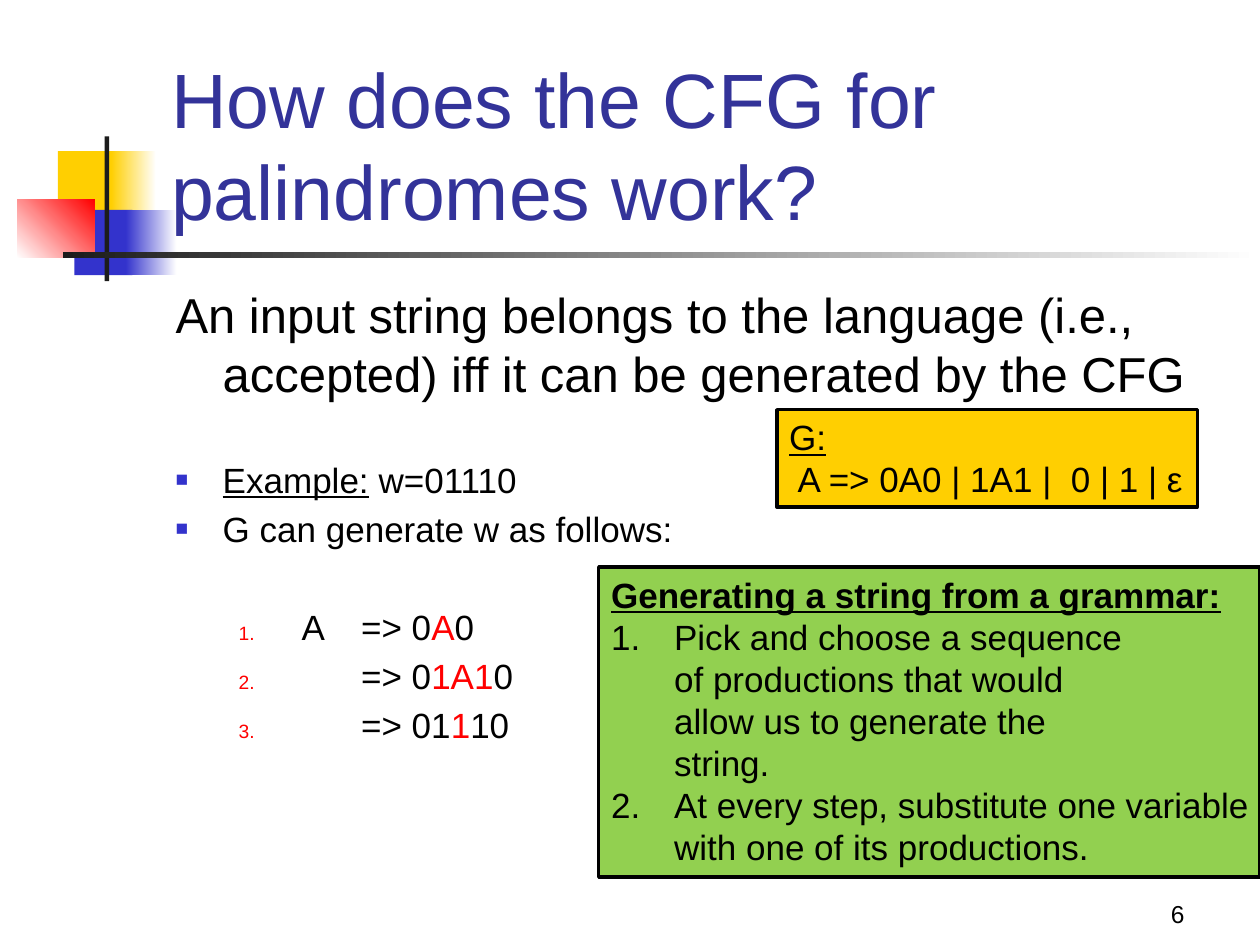
from pptx import Presentation
from pptx.dml.color import RGBColor
from pptx.enum.shapes import MSO_SHAPE
from pptx.enum.text import MSO_ANCHOR as Anchor, MSO_AUTO_SIZE as AutoSize, PP_ALIGN as Align
from pptx.oxml.ns import qn
from pptx.util import Cm, Pt
from lxml.etree import SubElement

COLORS = {
    "yellow": "FFCF01", "blue": "3333CC", "red": "FF0000", "dark": "1C1C1C",
    "white": "FFFFFF", "black": "000000", "title": "333399", "green": "92D050",
}
RGB = {name: RGBColor.from_string(value) for name, value in COLORS.items()}

presentation = Presentation()
presentation.slide_width, presentation.slide_height = Cm(25.4), Cm(19.05)
slide = presentation.slides.add_slide(presentation.slide_layouts[6])


def add_box(left, top, width, height, fills=(), angle=0):
    """Rectangle with a plain or two-colour fill; a text box without fills."""
    place = [Cm(value) for value in (left, top, width, height)]
    if not fills:
        return slide.shapes.add_textbox(*place)
    shape = slide.shapes.add_shape(MSO_SHAPE.RECTANGLE, *place)
    shape.shadow.inherit = False
    shape.line.fill.background()
    if len(fills) == 1:
        shape.fill.solid()
        shape.fill.fore_color.rgb = RGB[fills[0]]
    else:
        shape.fill.gradient()
        shape.fill.gradient_angle = angle
        for stop, name in zip(shape.fill.gradient_stops, fills):
            stop.color.rgb = RGB[name]
    return shape


def write(shape, paragraphs, size, color="black", anchor=Anchor.TOP, wrap=True):
    """Each paragraph is (runs, format); each run is (text, font values)."""
    frame = shape.text_frame
    frame.word_wrap, frame.vertical_anchor = wrap, anchor
    for index, (runs, style) in enumerate(paragraphs):
        paragraph = frame.paragraphs[0] if index == 0 else frame.add_paragraph()
        paragraph.alignment = style.get("align", Align.LEFT)
        paragraph.space_before = Pt(style.get("before", 0))
        paragraph.level = style.get("level", 0)
        properties = paragraph._p.get_or_add_pPr()
        margin, hanging = style.get("indent", (0, 0))
        properties.set("marL", str(Cm(margin)))
        properties.set("indent", str(-Cm(hanging)))
        if "bullet_color" in style:
            bullet_color = SubElement(properties, qn("a:buClr"))
            SubElement(bullet_color, qn("a:srgbClr"), val=COLORS[style["bullet_color"]])
            SubElement(properties, qn("a:buSzPct"), val=str(style["bullet_size"] * 1000))
        if "bullet" in style:
            SubElement(properties, qn("a:buFont"), typeface="Arial")
            SubElement(properties, qn("a:buChar"), char=style["bullet"])
        elif style.get("numbered"):
            SubElement(properties, qn("a:buFont"), typeface="Arial")
            SubElement(properties, qn("a:buAutoNum"), type="arabicPeriod")
        else:
            SubElement(properties, qn("a:buNone"))
        if "tabs" in style:
            tab_list = SubElement(properties, qn("a:tabLst"))
            for position in style["tabs"]:
                SubElement(tab_list, qn("a:tab"), pos=str(Cm(position)), algn="l")
        for text, values in runs:
            for line_index, line in enumerate(text.split("\n")):
                if line_index:
                    paragraph.add_line_break()
                run = paragraph.add_run()
                run.text = line
                font = {"name": "Arial", "size": Pt(style.get("size", size)), **values}
                run.font.color.rgb = RGB[font.pop("color", color)]
                for attribute, value in font.items():
                    setattr(run.font, attribute, value)


# Corner ornament and title rule
for ornament in [
    (1.17, 3.05, 1.22, 1.32, ["yellow"]),
    (2.24, 3.05, 0.91, 1.32, ["yellow", "white"]),
    (1.5, 4.23, 1.17, 1.32, ["blue"]),
    (2.54, 4.23, 1.02, 1.32, ["blue", "white"]),
    (0.35, 4.02, 1.56, 1.18, ["white", "red"], 45),
    (2.11, 2.75, 0.09, 2.92, ["dark"]),
    (1.27, 5.08, 24.13, 0.12, ["dark", "white"]),
]:
    add_box(*ornament)

# Title
title = add_box(3.2, 1.71, 21.64, 3.17)
write(title, [([("How does the CFG for palindromes work?", {})], {})],
      44, "title", Anchor.BOTTOM)

# Body: statement, example and derivation steps
hang = {"indent": (0.95, 0.95)}
square = {**hang, "bullet": "■", "bullet_color": "blue", "bullet_size": 60}
step = {"indent": (2.54, 1.27), "level": 1, "numbered": True, "tabs": (1.2, 3.74),
        "bullet_color": "red", "bullet_size": 55}
NEAR, FAR = 4, 32
red = {"color": "red"}
body = [
    ([("An input string belongs to the language (i.e., accepted) iff it can be "
       "generated by the CFG", {})], {**hang, "size": 28}),
    ([("Example:", {"underline": True}), (" w=01110", {})], {**square, "before": FAR}),
    ([("G can generate w as follows:", {})], {**square, "before": NEAR}),
]
steps = [("A\t=> 0", "A", "0"), ("\t=> 0", "1A1", "0"), ("\t=> 01", "1", "10")]
for index, (start, changed, end) in enumerate(steps):
    body.append(([(start, {}), (changed, red), (end, {})],
                 {**step, "before": NEAR if index else FAR}))
write(add_box(3.29, 5.61, 21.59, 11.43), body, 20)

# Slide number
number = add_box(18.85, 17.58, 5.28, 1.27)
write(number, [([("6", {})], {"align": Align.RIGHT})], 14, anchor=Anchor.BOTTOM)

# Grammar and explanation panels
numbered = {"indent": (1.27, 1.27), "numbered": True}
grammar = [
    ([("G:", {"underline": True})], {}),
    ([("A => 0A0 | 1A1 |  0 | 1 | ε", {})], {"indent": (0.17, 0)}),
]
explanation = [
    ([("Generating a string from a grammar:", {"bold": True, "underline": True})], {}),
    ([("Pick and choose a sequence\nof productions that would\n"
       "allow us to generate the\nstring.", {})], numbered),
    ([("At every step, substitute one variable\n"
       "with one of its productions.", {})], numbered),
]
for place, fill, content in [
    ((15.66, 8.26, 8.48, 1.96), "yellow", grammar),
    ((12.07, 11.43, 13.33, 6.25), "green", explanation),
]:
    panel = add_box(*place, [fill])
    panel.line.color.rgb = RGB["black"]
    panel.line.width = Pt(2)
    write(panel, content, 20, wrap=False)
    panel.text_frame.margin_right = Cm(0.12)
    panel.text_frame.auto_size = AutoSize.SHAPE_TO_FIT_TEXT

presentation.save("out.pptx")
